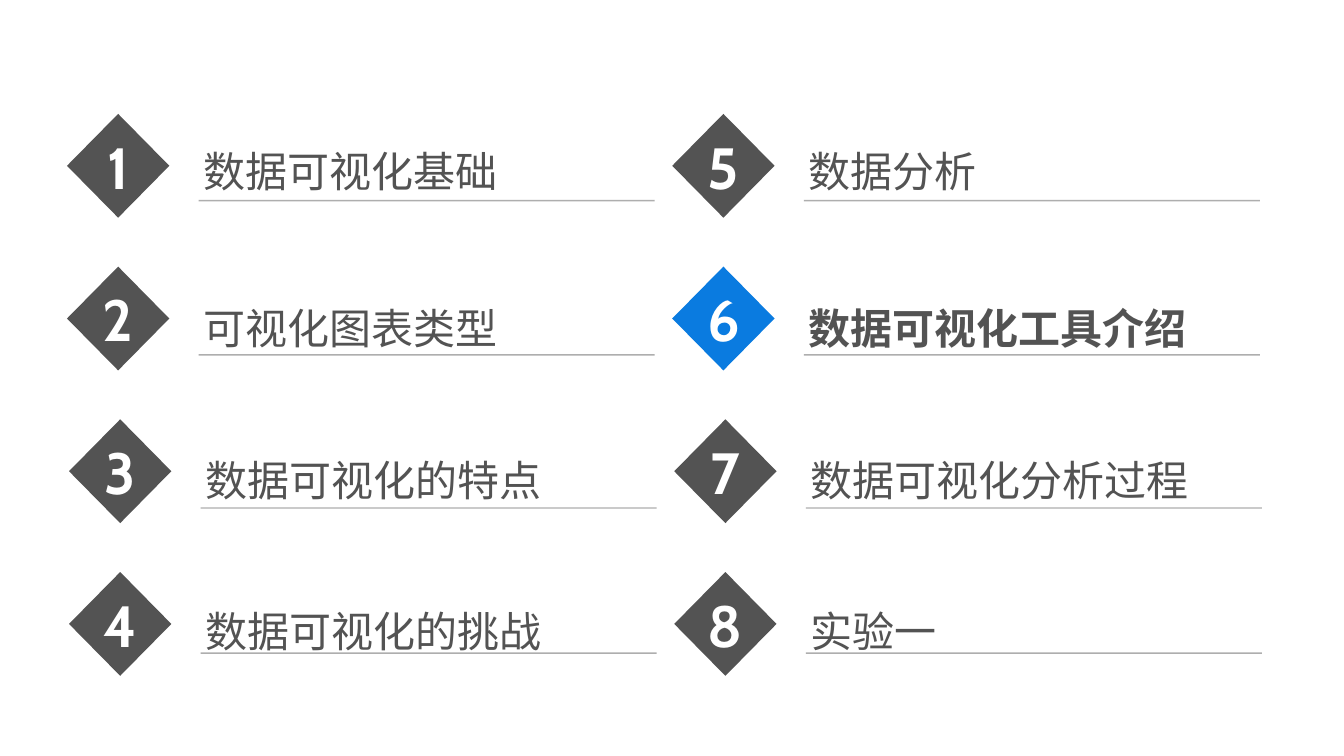
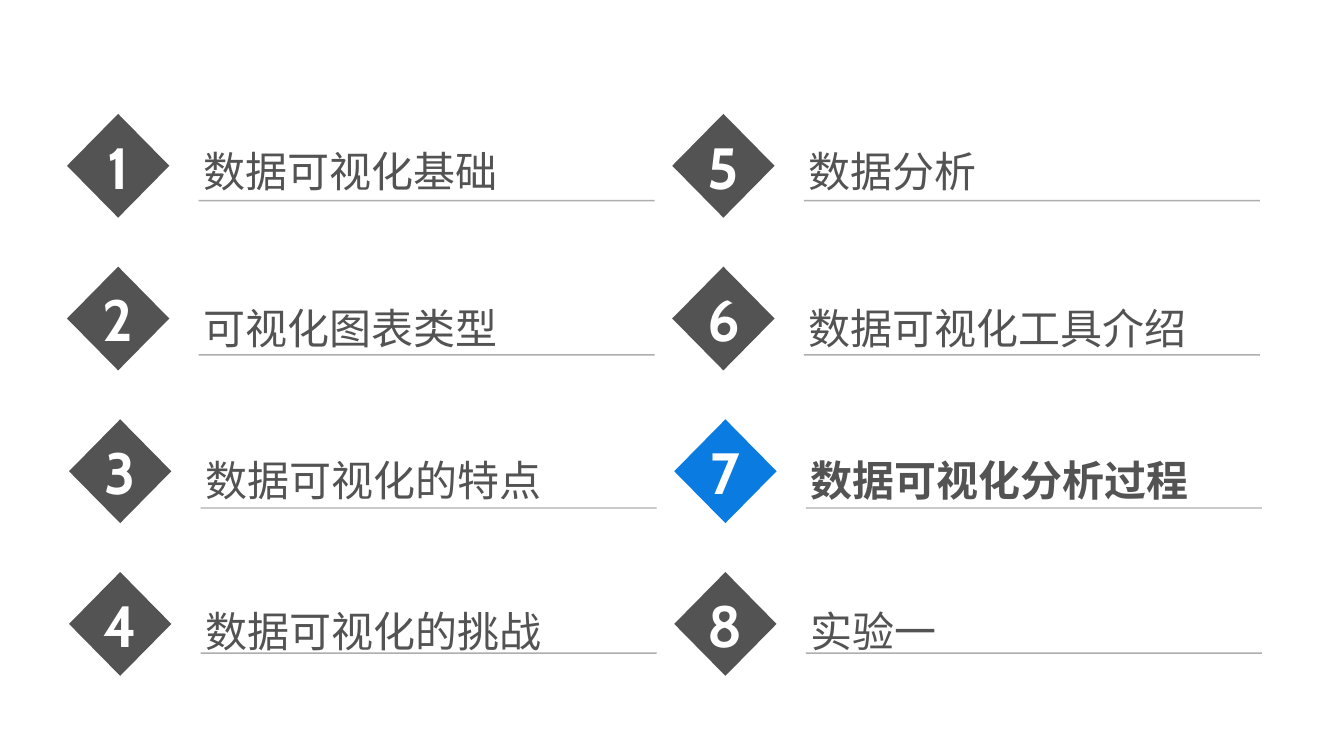
import pptx
import pptx.util
import pptx.dml.color
import pptx.enum.shapes
import pptx.enum.text
import pptx.oxml.ns
from lxml import etree

Inches = pptx.util.Inches

COLORS = {
    "background": "FFFFFF",
    "gray": "535353",
    "active": "0A7BE0",
    "rule": "5E5E5E",
    "number": "FFFFFF",
}
CHAPTERS = [
    "数据可视化基础", "可视化图表类型", "数据可视化的特点", "数据可视化的挑战",
    "数据分析", "数据可视化工具介绍", "数据可视化分析过程", "实验一",
]
ACTIVE_CHAPTERS = [6, 7]

# Left edge, title top and rule height of each agenda row
ROWS = [(1.33, 2.79, 3.98), (1.33, 5.9, 7.04), (1.37, 8.91, 10.08), (1.37, 11.91, 12.96)]
COLUMN_STEP = 12.01
DIAMOND_TOP, DIAMOND_STEP = 2.26, 3.03
DIAMOND_W, DIAMOND_H = 2.03, 2.06
TITLE_OFFSET, TITLE_W, TITLE_H = 2.61, 9.26, 1.21
RULE_W = 9.05


def rgb(name):
    return pptx.dml.color.RGBColor.from_string(COLORS[name])


def sub(parent, tag, **attributes):
    return etree.SubElement(parent, pptx.oxml.ns.qn(tag), **attributes)


def set_text(sp, text, font, size, color, bold):
    tf = sp.text_frame
    tf.text = text
    tf.word_wrap = True
    tf.margin_left = tf.margin_right = tf.margin_top = tf.margin_bottom = Inches(0.1)
    r = tf.paragraphs[0].runs[0]
    r.font.size = pptx.util.Pt(size)
    r.font.bold = bold
    r.font.color.rgb = rgb(color)
    r.font.name = font
    sub(r.font._element, "a:ea", typeface=font)
    return tf


def add_title(slide, x, y, text, active):
    sp = slide.shapes.add_textbox(Inches(x), Inches(y), Inches(TITLE_W), Inches(TITLE_H))
    tf = set_text(sp, text, "Roboto", 60, "gray", active)
    tf.auto_size = pptx.enum.text.MSO_AUTO_SIZE.SHAPE_TO_FIT_TEXT


def add_number(slide, x, y, number, active):
    sp = slide.shapes.add_shape(
        pptx.enum.shapes.MSO_SHAPE.DIAMOND,
        Inches(x), Inches(y), Inches(DIAMOND_W), Inches(DIAMOND_H))
    sp.shadow.inherit = False
    sp.fill.solid()
    sp.fill.fore_color.rgb = rgb("active" if active else "gray")
    sp.line.fill.background()
    tf = set_text(sp, str(number), "Cabin", 83, "number", True)
    tf.vertical_anchor = pptx.enum.text.MSO_ANCHOR.MIDDLE
    tf.paragraphs[0].alignment = pptx.enum.text.PP_ALIGN.CENTER


def add_rule(slide, x, y):
    """Draw a half-transparent line under a chapter title."""
    line = slide.shapes.add_connector(
        pptx.enum.shapes.MSO_CONNECTOR.STRAIGHT,
        Inches(x), Inches(y), Inches(x + RULE_W), Inches(y))
    line.line.width = pptx.util.Pt(2)
    line.line.color.rgb = rgb("rule")
    props = line._element.spPr
    color = props.find(".//" + pptx.oxml.ns.qn("a:srgbClr"))
    sub(color, "a:alpha", val="50000")
    sub(props, "a:effectLst")


def add_agenda(prs, active_chapter):
    slide = prs.slides.add_slide(prs.slide_layouts[6])
    slide.background.fill.solid()
    slide.background.fill.fore_color.rgb = rgb("background")
    for i, chapter in enumerate(CHAPTERS):
        column, row = divmod(i, len(ROWS))
        left, title_top, rule_y = ROWS[row]
        x = left + column * COLUMN_STEP
        active = i + 1 == active_chapter
        add_title(slide, x + TITLE_OFFSET, title_top, chapter, active)
        add_number(slide, x, DIAMOND_TOP + row * DIAMOND_STEP, i + 1, active)
        add_rule(slide, x + TITLE_OFFSET, rule_y)


def main():
    prs = pptx.Presentation()
    prs.slide_width = Inches(26.67)
    prs.slide_height = Inches(15)
    for chapter in ACTIVE_CHAPTERS:
        add_agenda(prs, chapter)
    prs.save("out.pptx")


if __name__ == "__main__":
    main()
